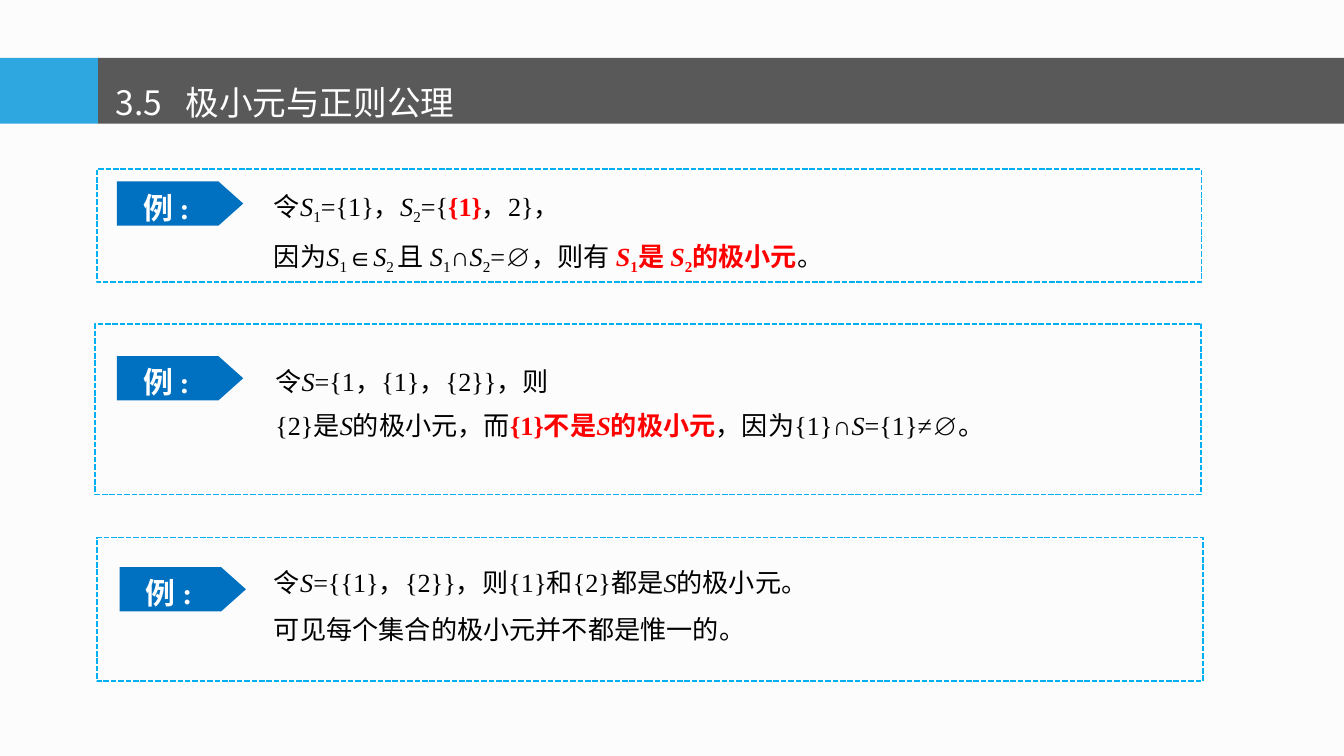
import pptx
import pptx.dml.color
import pptx.enum.dml
import pptx.enum.shapes
import pptx.enum.text
import pptx.oxml
import pptx.oxml.ns
import pptx.util
from pptx.util import Inches

BODY_FONT = "Times New Roman"
TITLE_FONT = "Noto Sans CJK SC"
SHAPES = pptx.enum.shapes.MSO_SHAPE
ALIGN = pptx.enum.text.PP_ALIGN
ANCHOR = pptx.enum.text.MSO_ANCHOR
GROW = pptx.enum.text.MSO_AUTO_SIZE.SHAPE_TO_FIT_TEXT

# Text pieces: i = italic, s = subscript, r = red and bold
S, SUB1, SUB2 = ("S", "i"), ("1", "s"), ("2", "s")
RED_S, RED_SUB1, RED_SUB2 = ("S", "ir"), ("1", "sr"), ("2", "sr")

# Each example: frame, tag position, text box, line spacing, space before, lines
EXAMPLES = [
    ((0.72, 1.26, 8.22, 0.84), (0.87, 1.35), (1.94, 1.3, 7.59, 0.74), 1.25, 2.8, [
        [("令", ""), S, SUB1, ("={1}，", ""), S, SUB2, ("={", ""),
         ("{1}", "r"), ("，2}，", "")],
        [("因为", ""), S, SUB1, ("∈", ""), S, ("2 ", "s"), ("且 ", ""), S, SUB1,
         ("∩", ""), S, SUB2, ("=∅，则有 ", ""), RED_S, RED_SUB1, ("是 ", "r"),
         RED_S, RED_SUB2, ("的极小元", "r"), ("。", "")],
    ]),
    ((0.71, 2.41, 8.23, 1.27), (0.87, 2.65), (1.95, 2.61, 5.98, 0.74), 1.25, 2.8, [
        [("令", ""), S, ("={1，{1}，{2}}，则", "")],
        [("{2}是", ""), S, ("的极小元，而", ""), ("{1}不是", "r"), RED_S,
         ("的极小元", "r"), ("，因为{1}∩", ""), S, ("={1}≠∅。", "")],
    ]),
    ((0.72, 4, 8.23, 1.07), (0.89, 4.22), (1.94, 4.05, 5.05, 0.81), 1.5, 0, [
        [("令", ""), S, ("={{1}，{2}}，则{1}和{2}都是", ""), S, ("的极小元。", "")],
        [("可见每个集合的极小元并不都是惟一的。", "")],
    ]),
]


def color(hex_code):
    return pptx.dml.color.RGBColor.from_string(hex_code)


def set_font(font, name, size, hex_code, bold=False):
    font.name, font.size, font.bold = name, pptx.util.Pt(size), bold
    font.color.rgb = color(hex_code)


def add_block(slide, preset, box, fill=None):
    block = slide.shapes.add_shape(preset, *map(Inches, box))
    block.shadow.inherit = False
    if fill:
        block.fill.solid()
        block.fill.fore_color.rgb = color(fill)
        block.line.fill.background()
    else:
        block.fill.background()
    return block


def add_frame(slide, box):
    frame = add_block(slide, SHAPES.RECTANGLE, box)
    frame.line.color.rgb = color("00B0F0")
    frame.line.width = pptx.util.Pt(1)
    frame.line.dash_style = pptx.enum.dml.MSO_LINE.SQUARE_DOT


def add_tag(slide, position):
    tag = add_block(slide, SHAPES.PENTAGON, (*position, 0.94, 0.33), "0070C0")
    tag.adjustments[0] = 0.56
    tag.text_frame.vertical_anchor = ANCHOR.MIDDLE
    tag.text_frame.margin_right = Inches(0.21)
    label = tag.text_frame.paragraphs[0]
    label.text = "例 :"
    label.alignment = ALIGN.CENTER
    label.line_spacing = 1.2
    set_font(label.font, BODY_FONT, 16, "FFFFFF", bold=True)


def add_piece(line, text, style):
    piece = line.add_run()
    piece.text = text
    if "i" in style:
        piece.font.italic = True
    if "s" in style:
        piece._r.get_or_add_rPr().set("baseline", "-25000")
    if "r" in style:
        piece.font.bold = True
        piece.font.color.rgb = color("FF0000")


def add_explanation(slide, box, spacing, gap, lines):
    explanation = slide.shapes.add_textbox(*map(Inches, box)).text_frame
    explanation.word_wrap = True
    explanation.auto_size = GROW
    for number, pieces in enumerate(lines):
        line = explanation.add_paragraph() if number else explanation.paragraphs[0]
        line.line_spacing = spacing
        if number and gap:
            line.space_before = pptx.util.Pt(gap)
        set_font(line.font, BODY_FONT, 14, "000000")
        for text, style in pieces:
            add_piece(line, text, style)


def add_heading(slide):
    # Title bar, then the title above it
    add_block(slide, SHAPES.RECTANGLE, (0, 0.43, 0.73, 0.49), "2EA7E0")
    add_block(slide, SHAPES.RECTANGLE, (0.73, 0.43, 9.27, 0.49), "595959")
    title = slide.shapes.title
    title.left, title.top, title.width, title.height = map(
        Inches, (0.76, 0.35, 5.01, 0.55))
    slide.shapes._spTree.append(title._element)
    title.text_frame.vertical_anchor = ANCHOR.TOP
    title.text_frame.auto_size = GROW
    heading = title.text_frame.paragraphs[0]
    heading.text = "3.5\t极小元与正则公理"
    heading.alignment = ALIGN.LEFT
    heading.line_spacing = 1.7
    # Tab stop between the number and the name of the section
    heading._p.get_or_add_pPr().append(pptx.oxml.parse_xml(
        f'<a:tabLst {pptx.oxml.ns.nsdecls("a")}>'
        f'<a:tab pos="{Inches(0.52)}" algn="l"/></a:tabLst>'))
    set_font(heading.font, TITLE_FONT, 18, "FFFFFF")


def main():
    # Widescreen slide, 16 to 9
    deck = pptx.Presentation()
    deck.slide_width = Inches(10)
    deck.slide_height = Inches(10) * 9 // 16
    slide = deck.slides.add_slide(deck.slide_layouts[5])
    slide.background.fill.solid()
    slide.background.fill.fore_color.rgb = color("FCFCFC")

    add_heading(slide)
    for frame, tag, box, spacing, gap, lines in EXAMPLES:
        add_frame(slide, frame)
        add_tag(slide, tag)
        add_explanation(slide, box, spacing, gap, lines)
    deck.save("out.pptx")


if __name__ == "__main__":
    main()
